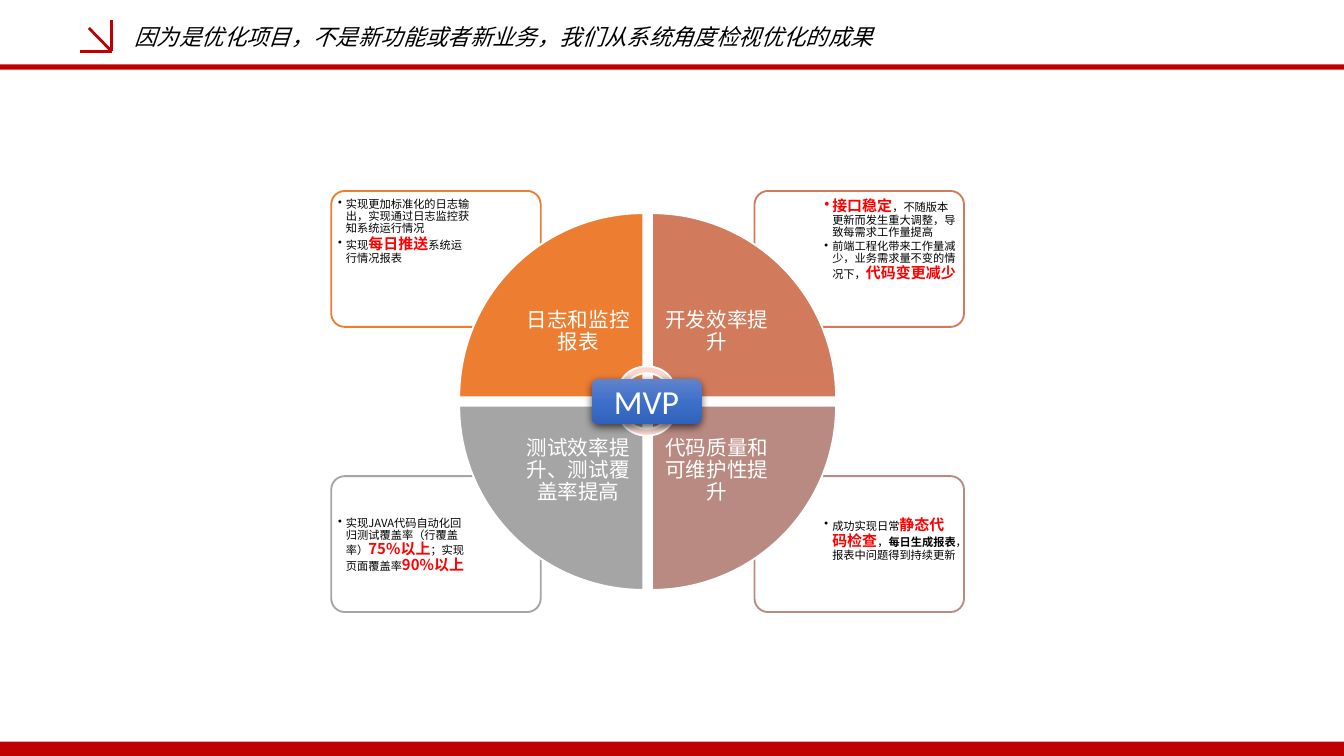
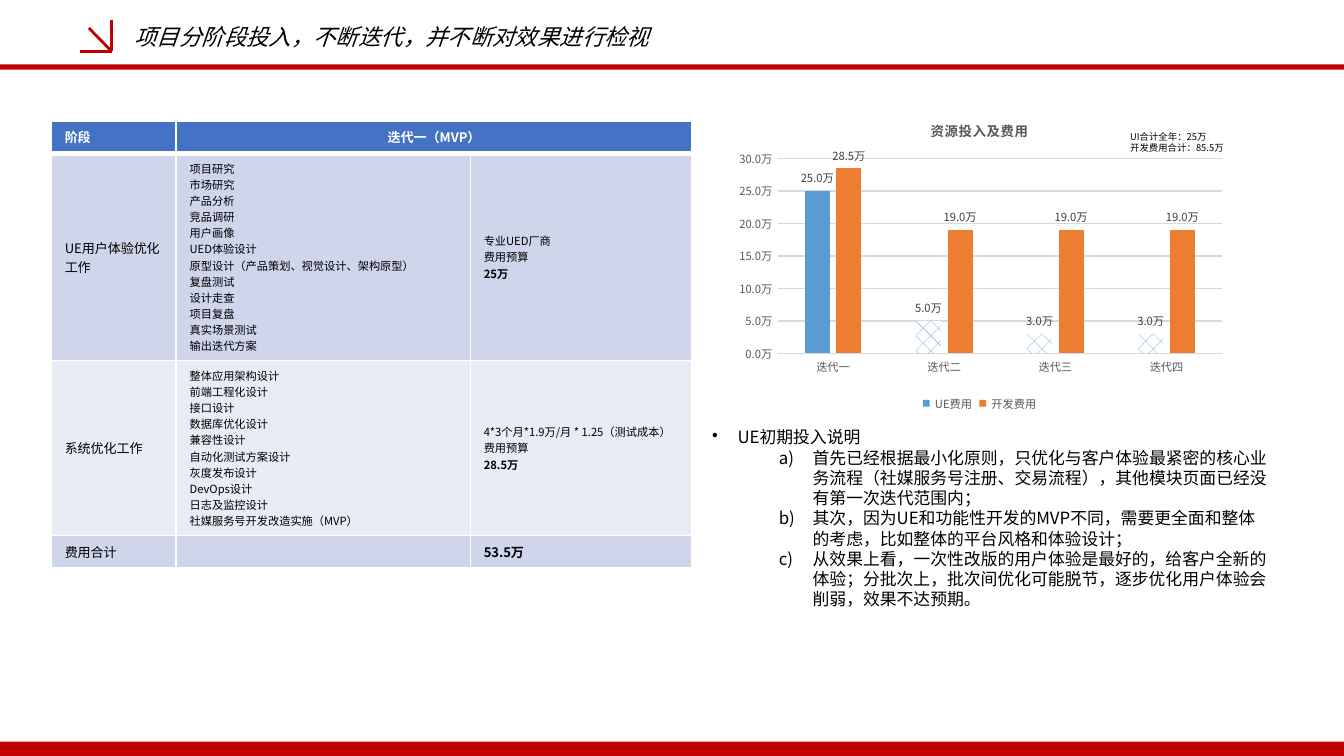
import pptx
import pptx.chart.data
import pptx.dml.color
import pptx.enum.chart
import pptx.enum.dml
import pptx.enum.shapes
import pptx.enum.text
import pptx.util
from lxml import etree
from pptx.oxml.ns import qn

Cm, Pt = pptx.util.Cm, pptx.util.Pt
SHAPE = pptx.enum.shapes.MSO_SHAPE
ALIGN = pptx.enum.text.PP_ALIGN
ANCHOR = pptx.enum.text.MSO_ANCHOR

INK = {
    "red": "C00000", "hot": "FF0000", "black": "000000", "white": "FFFFFF",
    "orange": "ED7D31", "clay": "D17B5C", "rose": "B98A82", "gray": "A5A5A5",
    "pink": "F8D7CE", "head": "4472C4", "odd": "CFD5EA", "even": "E9EBF5",
    "blue": "5B9BD5", "grid": "D9D9D9", "axis": "595959", "label": "404040",
    "top": "6183CB", "mid": "3E70CA", "low": "3062BB",
}
SANS = "Noto Sans CJK SC"
HOT = {"size": 8, "color": "hot", "bold": True}
BOLD = {"bold": True}
MONEY = '0.0"万"'


def tone(name):
    return pptx.dml.color.RGBColor.from_string(INK[name])


def add(parent, tag, **attrs):
    return etree.SubElement(parent, qn(tag), {k: str(v) for k, v in attrs.items()})


def paint(target, name):
    target.solid()
    target.fore_color.rgb = tone(name)


def face(font, size=6, color="black", bold=False, italic=False, name=SANS):
    font.size, font.bold, font.italic, font.name = Pt(size), bold, italic, name
    font.color.rgb = tone(color)
    add(font._rPr, "a:ea", typeface=name)


def write(frame, paras, align=ALIGN.LEFT, anchor=ANCHOR.TOP, inset=None,
          spacing=None, after=None, **style):
    """Fill a frame; a paragraph is a string or a list of strings and (string, style)."""
    frame.word_wrap, frame.vertical_anchor = True, anchor
    if inset is not None:
        frame.margin_left = frame.margin_right = Cm(inset)
        frame.margin_top = frame.margin_bottom = Cm(inset)
    for i, runs in enumerate(paras):
        para = frame.add_paragraph() if i else frame.paragraphs[0]
        para.alignment = align
        if spacing:
            para.line_spacing = spacing
        if after:
            para.space_after = Pt(after)
        for run in [runs] if isinstance(runs, str) else runs:
            words, extra = (run, {}) if isinstance(run, str) else run
            if words:
                part = para.add_run()
                part.text = words
                face(part.font, **{**style, **extra})
            else:
                add(para._p, "a:endParaRPr", sz=style["size"] * 100)


def bullet(para, left, hang, level=0, number=False):
    para.level = level
    props = para._p.get_or_add_pPr()
    props.set("marL", str(Cm(left)))
    props.set("indent", str(-Cm(hang)))
    if number:
        add(props, "a:buAutoNum", type="alphaLcParenR")
    else:
        add(props, "a:buChar", char="•")


class Deck:
    def __init__(self):
        self.show = pptx.Presentation()
        self.show.slide_width, self.show.slide_height = Cm(25.4), Cm(14.29)
        self.slide = None

    def start(self, title):
        self.slide = self.show.slides.add_slide(self.show.slide_layouts[5])
        self.shape(SHAPE.RECTANGLE, 0, 14.02, 25.4, 0.3, fill="red")
        self.shape(SHAPE.RECTANGLE, 0, 1.22, 25.4, 0.1, fill="red")
        for x, y in [(1.52, 0.97), (2.11, 0.38), (1.68, 0.53)]:
            self.line(x, y, 2.11, 0.97)
        head = self.slide.shapes.title
        head.left, head.top, head.width, head.height = map(Cm, (2.29, 0.28, 18.59, 0.84))
        head.text_frame.auto_size = pptx.enum.text.MSO_AUTO_SIZE.NONE
        write(head.text_frame, [title], anchor=ANCHOR.MIDDLE, size=12, italic=True)

    def shape(self, kind, x, y, w, h, fill=None, line=None, turn=0):
        item = self.slide.shapes.add_shape(kind, Cm(x), Cm(y), Cm(w), Cm(h))
        item.shadow.inherit = False
        item.rotation = turn
        if fill:
            paint(item.fill, fill)
        if line:
            item.line.color.rgb, item.line.width = tone(line), Pt(1)
        else:
            item.line.fill.background()
        return item

    def line(self, x1, y1, x2, y2):
        item = self.slide.shapes.add_connector(
            pptx.enum.shapes.MSO_CONNECTOR.STRAIGHT, Cm(x1), Cm(y1), Cm(x2), Cm(y2))
        item.line.color.rgb, item.line.width = tone("red"), Pt(1.5)
        add(item._element.spPr, "a:effectLst")

    def text(self, x, y, w, h, paras, **style):
        box = self.slide.shapes.add_textbox(Cm(x), Cm(y), Cm(w), Cm(h))
        write(box.text_frame, paras, **style)
        return box.text_frame

    def card(self, x, y, w, h, line):
        item = self.shape(SHAPE.ROUNDED_RECTANGLE, x, y, w, h, "white", line)
        item.adjustments[0] = 0.1
        add(item._element.spPr.find(".//" + qn("a:srgbClr")), "a:alpha", val=90000)

    def badge(self, x, y, w, h, words):
        item = self.shape(SHAPE.ROUNDED_RECTANGLE, x, y, w, h)
        item.fill.gradient()
        item.fill.gradient_angle = 270
        props = item._element.spPr
        stops = props.find(".//" + qn("a:gsLst"))
        stops[:] = []
        for pos, name in [(0, "top"), (50000, "mid"), (100000, "low")]:
            add(add(stops, "a:gs", pos=pos), "a:srgbClr", val=INK[name])
        shade = add(props.find(qn("a:effectLst")), "a:outerShdw", blurRad=Pt(4.5),
                    dist=Pt(1.5), dir=5400000, algn="ctr", rotWithShape=0)
        add(add(shade, "a:srgbClr", val=INK["black"]), "a:alpha", val=63000)
        write(item.text_frame, [words], align=ALIGN.CENTER, anchor=ANCHOR.MIDDLE,
              size=18, color="white", name="Calibri")

    def cell(self, cell, paras, fill, base=1, **style):
        props = cell._tc.get_or_add_tcPr()
        for side in "LRTB":
            edge = add(props, "a:ln" + side, w=Pt(base if side == "B" else 1))
            add(add(edge, "a:solidFill"), "a:srgbClr", val=INK["white"])
        paint(cell.fill, fill)
        cell.vertical_anchor = ANCHOR.MIDDLE
        write(cell.text_frame, paras, anchor=ANCHOR.MIDDLE, **style)

    def table(self, x, y, widths, heights, head, body):
        frame = self.slide.shapes.add_table(
            len(heights), len(widths), Cm(x), Cm(y), Cm(sum(widths)), Cm(7.19))
        grid = frame.table
        for col, width in zip(grid.columns, widths):
            col.width = Cm(width)
        for row, height in zip(grid.rows, heights):
            row.height = Cm(height)
        frame.height = Cm(7.19)
        grid.cell(0, 1).merge(grid.cell(0, 2))
        for c, words in enumerate(head):
            self.cell(grid.cell(0, c), [words], "head", base=3, size=7, color="white",
                      bold=True, align=ALIGN.CENTER if c else ALIGN.LEFT)
        for r, row in enumerate(body, 1):
            for c, paras in enumerate(row):
                size = 6 if c and r < len(body) else 7
                self.cell(grid.cell(r, c), paras, "odd" if r % 2 else "even", size=size)

    def chart(self, x, y, w, h, title, cats, series):
        data = pptx.chart.data.CategoryChartData(number_format=MONEY)
        data.categories = cats
        for name, vals, _, _ in series:
            data.add_series(name, vals)
        chart = self.slide.shapes.add_chart(
            pptx.enum.chart.XL_CHART_TYPE.COLUMN_CLUSTERED,
            Cm(x), Cm(y), Cm(w), Cm(h), data).chart
        face(chart.font)
        write(chart.chart_title.text_frame, [title], align=ALIGN.CENTER,
              size=7.2, color="axis", bold=True)
        chart.chart_title.include_in_layout = False
        chart.has_legend = True
        chart.legend.position = pptx.enum.chart.XL_LEGEND_POSITION.BOTTOM
        chart.legend.include_in_layout = False
        face(chart.legend.font, color="axis")
        self.axes(chart)
        plot = chart.plots[0]
        plot.gap_width, plot.overlap, plot.vary_by_categories = 219, -27, False
        for bars, (_, _, color, hatched) in zip(plot.series, series):
            bars.invert_if_negative = False
            paint(bars.format.fill, color)
            for i in hatched:
                fill = bars.points[i].format.fill
                fill.patterned()
                fill.pattern = pptx.enum.dml.MSO_PATTERN.PERCENT_25
                fill.fore_color.rgb, fill.back_color.rgb = tone(color), tone("white")
            tags = bars.data_labels
            tags.show_value = True
            tags.position = pptx.enum.chart.XL_LABEL_POSITION.OUTSIDE_END
            tags.number_format, tags.number_format_is_linked = MONEY, False
            face(tags.font, color="label")

    def axes(self, chart):
        cat, val = chart.category_axis, chart.value_axis
        for axis in (cat, val):
            axis.major_tick_mark = pptx.enum.chart.XL_TICK_MARK.NONE
            face(axis.tick_labels.font, color="axis")
        val.minimum_scale, val.maximum_scale, val.major_unit = 0, 30, 5
        val.tick_labels.number_format = MONEY
        val.tick_labels.number_format_is_linked = False
        val.format.line.fill.background()
        for line in (cat.format.line, val.major_gridlines.format.line):
            line.color.rgb, line.width = tone("grid"), Pt(0.75)
        area = chart._chartSpace.find(".//" + qn("c:plotArea"))
        for old in area.findall(qn("c:layout")):
            area.remove(old)
        place = etree.Element(qn("c:layout"))
        area.insert(0, place)
        spot = add(place, "c:manualLayout")
        for key, value in [("layoutTarget", "inner"), ("xMode", "edge"), ("yMode", "edge"),
                           ("x", 0.1), ("y", 0.18), ("w", 0.88), ("h", 0.62)]:
            add(spot, "c:" + key, val=value)


def results(deck):
    deck.start("因为是优化项目，不是新功能或者新业务，我们从系统角度检视优化的成果")
    mid_x, mid_y, gap = 12.24, 7.59, 0.08
    # column, row, turn, colour, wedge label, card notes
    parts = [
        (1, 1, 180, "rose", "代码质量和可维护性提升",
         [["成功实现日常", ("静态代码检查", HOT), "，", ("每日生成报表", BOLD),
           "，报表中问题得到持续更新"]]),
        (0, 1, 270, "gray", "测试效率提升、测试覆盖率提高",
         [["实现JAVA代码自动化回归测试覆盖率（行覆盖率）", ("75%以上", HOT),
           "；实现页面覆盖率", ("90%以上", HOT)]]),
        (1, 0, 90, "clay", "开发效率提升",
         [[("接口稳定", HOT), "，不随版本更新而发生重大调整，导致每需求工作量提高"],
          ["前端工程化带来工作量减少，业务需求量不变的情况下，", ("代码变更减少", HOT)]]),
        (0, 0, 0, "orange", "日志和监控报表",
         [["实现更加标准化的日志输出，实现通过日志监控获知系统运行情况"],
          ["实现", ("每日推送", HOT), "系统运行情况报表"]]),
    ]

    def corner(col, row, dx, dy, w, h):
        """Place a w by h box in one quadrant, dx and dy away from the centre."""
        return (mid_x + dx if col else mid_x - dx - w,
                mid_y + dy if row else mid_y - dy - h, w, h)

    for col, row, _, color, _, notes in parts:
        deck.card(*corner(col, row, 2.02, 1.41, 3.96, 2.57), color)
        frame = deck.text(*corner(col, row, 3.26, 2.11, 2.67, 1.8), notes,
                          inset=0.08, spacing=0.9, after=1)
        for para in frame.paragraphs:
            bullet(para, 0.15, 0.15, level=1)
    for col, row, turn, color, label, _ in parts:
        deck.shape(SHAPE.PIE_WEDGE, *corner(col, row, gap, gap, 3.48, 3.48),
                   fill=color, line="white", turn=turn)
        deck.text(*corner(col, row, gap, gap, 2.46, 2.46), [label], inset=0.23,
                  align=ALIGN.CENTER, anchor=ANCHOR.MIDDLE, spacing=0.9,
                  size=11, color="white")
    for y, turn in [(6.86, 0), (7.26, 180)]:
        deck.shape(SHAPE.CIRCULAR_ARROW, 11.63, y, 1.19, 1.04, "pink", "white", turn)
    deck.badge(11.18, 7.16, 2.08, 0.86, "MVP")


def budget(deck):
    deck.start("项目分阶段投入，不断迭代，并不断对效果进行检视")
    deck.table(0.97, 2.29, [2.36, 5.56, 4.19], [0.36, 2.18, 1.85, 0.36],
               ["阶段", "迭代一（MVP）", ""], [
        [["UE用户体验优化工作"],
         ["项目研究", "市场研究", "产品分析", "竞品调研", "用户画像", "UED体验设计",
          "原型设计（产品策划、视觉设计、架构原型）", "复盘测试", "设计走查", "项目复盘",
          "真实场景测试", "输出迭代方案"],
         ["专业UED厂商", "费用预算", [("25万", BOLD)]]],
        [["系统优化工作"],
         ["整体应用架构设计", "前端工程化设计", "接口设计", "数据库优化设计", "兼容性设计",
          "自动化测试方案设计", "灰度发布设计", "DevOps设计", "日志及监控设计",
          "社媒服务号开发改造实施（MVP）"],
         ["4*3个月*1.9万/月 * 1.25（测试成本）", "费用预算", [("28.5万", BOLD)]]],
        [["费用合计"], [""], [[("53.5万", BOLD)]]],
    ])
    deck.chart(13.74, 1.93, 9.55, 5.94, "资源投入及费用",
               ["迭代一", "迭代二", "迭代三", "迭代四"],
               [("UE费用", [25, 5, 3, 3], "blue", [1, 2, 3]),
                ("开发费用", [28.5, 19, 19, 19], "orange", [])])
    frame = deck.text(13.21, 7.95, 11, 5.64, [
        "UE初期投入说明",
        "首先已经根据最小化原则，只优化与客户体验最紧密的核心业务流程（社媒服务号注册、交易流程），"
        "其他模块页面已经没有第一次迭代范围内；",
        "其次，因为UE和功能性开发的MVP不同，需要更全面和整体的考虑，比如整体的平台风格和体验设计；",
        "从效果上看，一次性改版的用户体验是最好的，给客户全新的体验；分批次上，批次间优化可能脱节，"
        "逐步优化用户体验会削弱，效果不达预期。",
    ], size=9)
    first, *rest = frame.paragraphs
    bullet(first, 0.48, 0.48)
    for para in rest:
        bullet(para, 1.9, 0.64, level=1, number=True)
    deck.text(21.11, 2.36, 2.29, 0.69, ["UI合计全年：25万", "开发费用合计：85.5万"], size=5)


def main():
    deck = Deck()
    results(deck)
    budget(deck)
    deck.show.save("out.pptx")


if __name__ == "__main__":
    main()
